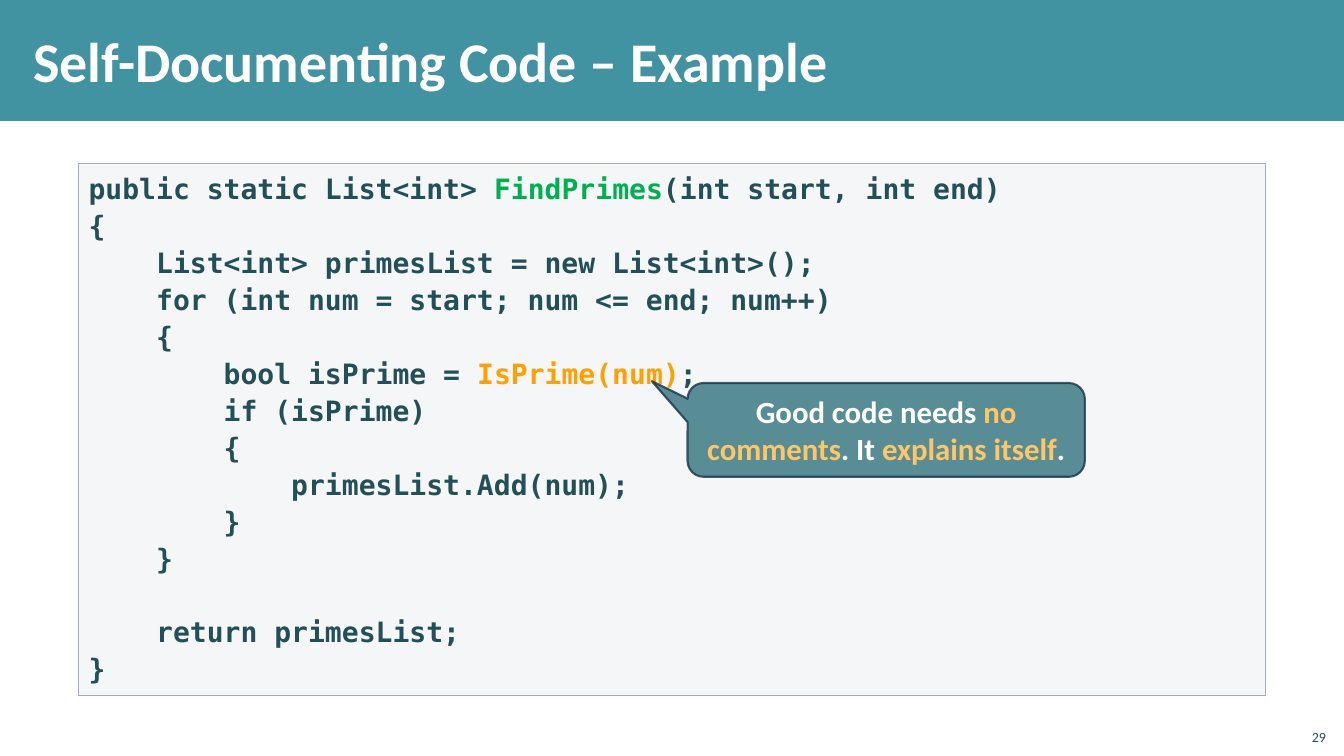
import pptx
import pptx.util
import pptx.dml.color
import pptx.enum.shapes
import pptx.enum.text
import pptx.oxml
import pptx.oxml.ns
from dataclasses import dataclass
from typing import NamedTuple, Optional

Pt = pptx.util.Pt
Rgb = pptx.dml.color.RGBColor.from_string
Shape = pptx.enum.shapes.MSO_SHAPE
Align = pptx.enum.text.PP_ALIGN
Anchor = pptx.enum.text.MSO_ANCHOR


# Colours, fonts and type sizes
@dataclass(frozen=True)
class Theme:
    white: str = "FFFFFF"
    teal: str = "4193A1"
    ink: str = "235057"
    green: str = "00B050"
    amber: str = "FFA000"
    gold: str = "FFC666"
    panel: str = "C2C7D2"
    edge: str = "A3ABBC"
    note: str = "32737E"
    navy: str = "1A334B"
    sans: str = "Calibri"
    mono: str = "DejaVu Sans Mono"
    title: int = 40
    call: int = 22
    code: int = 20
    page: int = 10


THEME = Theme()


class Area(NamedTuple):
    """Left, top, width and height in percent of the slide."""
    x: float
    y: float
    w: float
    h: float


class Span(NamedTuple):
    text: str
    color: Optional[str] = None


class Line(NamedTuple):
    spans: tuple[Span, ...]
    gap: float = 0


class Style(NamedTuple):
    font: str
    size: int
    color: str
    bold: bool = True
    align: Align = Align.LEFT
    anchor: Anchor = Anchor.MIDDLE
    pitch: Optional[float] = None


class Paint(NamedTuple):
    color: str
    alpha: int = 100


@dataclass(frozen=True)
class Block:
    area: Area
    kind: Optional[Shape] = None
    fill: Optional[Paint] = None
    edge: Optional[Paint] = None
    width: float = 0
    adjust: tuple[float, ...] = ()
    style: Optional[Style] = None
    lines: tuple[Line, ...] = ()
    inset: Optional[tuple[float, float]] = None


def line(*parts: str | Span, gap: float = 0) -> Line:
    return Line(tuple(p if isinstance(p, Span) else Span(p) for p in parts), gap)


# Wording
CODE = (
    line("public static List<int> ", Span("FindPrimes", THEME.green),
         "(int start, int end)"),
    line("{"),
    line("    List<int> primesList = new List<int>();"),
    line("    for (int num = start; num <= end; num++)"),
    line("    {"),
    line("        bool isPrime = ", Span("IsPrime(num)", THEME.amber), ";"),
    line("        if (isPrime)"),
    line("        {"),
    line("            primesList.Add(num);"),
    line("        }"),
    line("    }"),
    line("    return primesList;", gap=26.4),
    line("}"),
)
CALL = line("Good code needs ", Span("no comments", THEME.gold), ". It ",
            Span("explains itself", THEME.gold), ".")

# Parts of the slide, back to front
BLOCKS = (
    Block(Area(0, 0, 100, 16), Shape.RECTANGLE, Paint(THEME.teal)),
    Block(Area(96.4, 94.93, 3, 4.27), lines=(line("29"),),
          style=Style(THEME.sans, THEME.page, THEME.ink, False, Align.RIGHT,
                      Anchor.BOTTOM)),
    Block(Area(1.58, 1.47, 80.35, 12.93), inset=(0.12, 0.04),
          style=Style(THEME.sans, THEME.title, THEME.white),
          lines=(line("Self-Documenting Code – Example"),)),
    Block(Area(5.85, 21.6, 88.3, 70.4), Shape.RECTANGLE,
          Paint(THEME.panel, 15), Paint(THEME.edge), 1, lines=CODE,
          style=Style(THEME.mono, THEME.code, THEME.ink, anchor=Anchor.TOP,
                      pitch=1.1)),
    Block(Area(51.16, 50.67, 29.56, 12.4), Shape.ROUNDED_RECTANGULAR_CALLOUT,
          Paint(THEME.note, 80), Paint(THEME.navy, 80), 1.5,
          (-0.59, -0.52, 0.17), lines=(CALL,),
          style=Style(THEME.sans, THEME.call, THEME.white,
                      align=Align.CENTER)),
)


def paint(fill, owner, coat: Paint) -> None:
    fill.solid()
    fill.fore_color.rgb = Rgb(coat.color)
    if coat.alpha < 100:
        tone = owner.find(pptx.oxml.ns.qn("a:solidFill"))[0]
        alpha = pptx.oxml.parse_xml(
            f'<a:alpha {pptx.oxml.ns.nsdecls("a")} val="{coat.alpha * 1000}"/>')
        tone.append(alpha)


def write(frame, block: Block) -> None:
    style = block.style
    frame.word_wrap = True
    frame.vertical_anchor = style.anchor
    if block.inset:
        side, end = map(pptx.util.Inches, block.inset)
        frame.margin_left = frame.margin_right = side
        frame.margin_top = frame.margin_bottom = end
    for i, row in enumerate(block.lines):
        para = frame.add_paragraph() if i else frame.paragraphs[0]
        para.alignment = style.align
        if style.pitch:
            para.line_spacing = style.pitch
        if row.gap:
            para.space_before = Pt(row.gap)
        font = para.font
        font.name, font.size, font.bold = style.font, Pt(style.size), style.bold
        for span in row.spans:
            run = para.add_run()
            run.text = span.text
            run.font.color.rgb = Rgb(span.color or style.color)


def draw(deck, slide, block: Block) -> None:
    wide, high = deck.slide_width, deck.slide_height
    box = [round(part * full / 100)
           for part, full in zip(block.area, (wide, high, wide, high))]
    if block.kind is None:
        shape = slide.shapes.add_textbox(*box)
    else:
        shape = slide.shapes.add_shape(block.kind, *box)
        shape.shadow.inherit = False
        paint(shape.fill, shape.element.spPr, block.fill)
        if block.edge:
            shape.line.width = Pt(block.width)
            paint(shape.line.fill, shape.element.spPr.ln, block.edge)
        else:
            shape.line.fill.background()
        for i, value in enumerate(block.adjust):
            shape.adjustments[i] = value
    if block.style:
        write(shape.text_frame, block)


def main() -> None:
    deck = pptx.Presentation()
    deck.slide_width = pptx.util.Inches(13.33)
    deck.slide_height = pptx.util.Inches(7.5)
    slide = deck.slides.add_slide(deck.slide_layouts[6])
    for block in BLOCKS:
        draw(deck, slide, block)
    deck.save("out.pptx")


if __name__ == "__main__":
    main()
